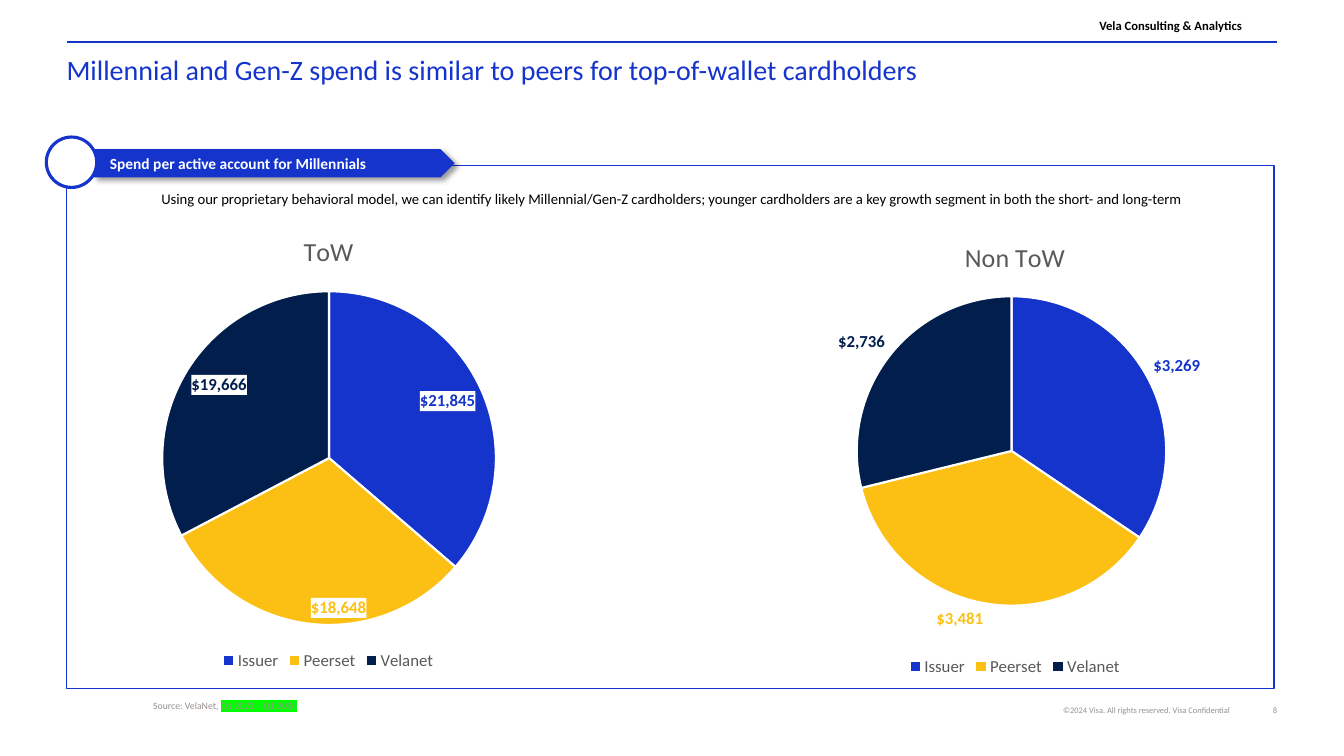
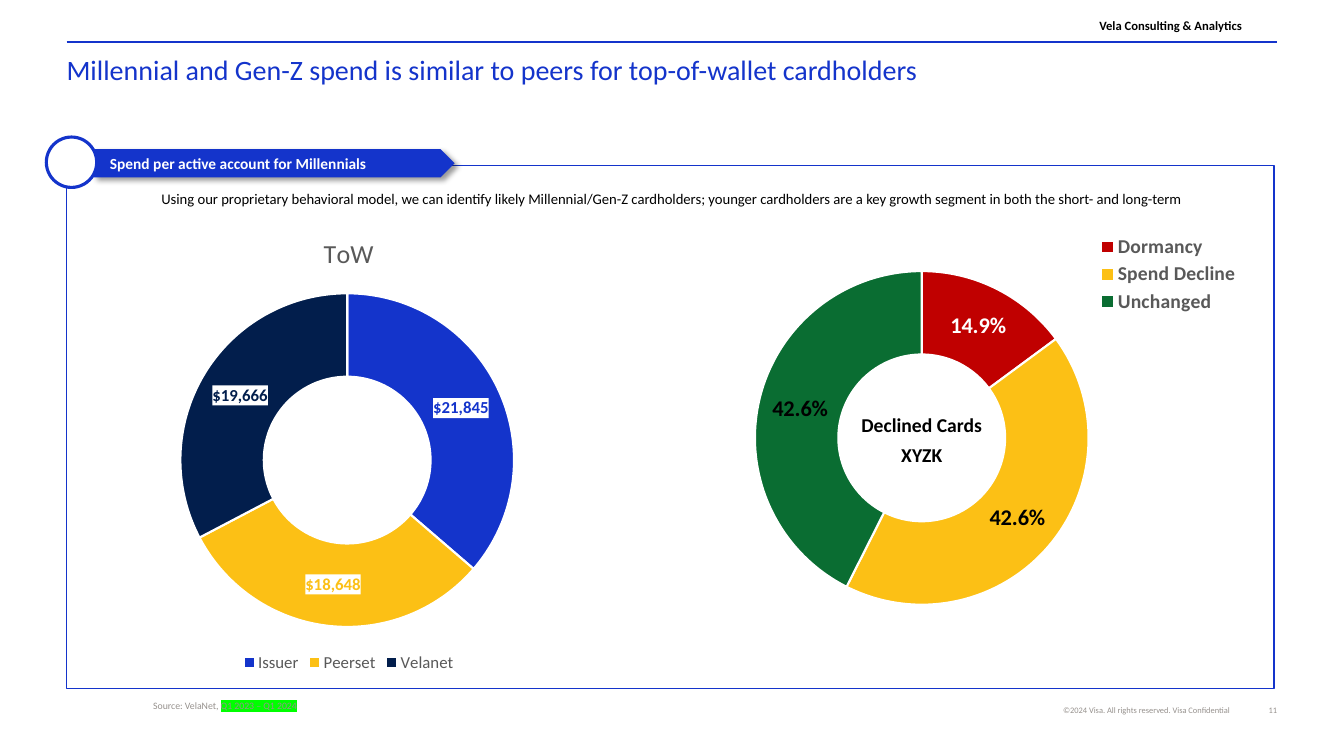
from lxml import etree
from pptx import Presentation
from pptx.chart.data import CategoryChartData
from pptx.dml.color import RGBColor
from pptx.enum import chart as charts, shapes, text
from pptx.oxml import parse_xml
from pptx.oxml.ns import nsdecls, qn
from pptx.util import Pt

PX = 9144  # 100 px to the inch
FONT = "Calibri"
BLUE, YELLOW, NAVY = "1434CB", "FCC015", "021E4C"
RED, GREEN = "C00000", "0A6D32"
WHITE, BLACK, GREY, CHART_GREY = "FFFFFF", "000000", "96918D", "595959"
LEFT, CENTER, RIGHT = text.PP_ALIGN.LEFT, text.PP_ALIGN.CENTER, text.PP_ALIGN.RIGHT
TOP, BOTTOM = text.MSO_ANCHOR.TOP, text.MSO_ANCHOR.BOTTOM
PIE, DOUGHNUT = charts.XL_CHART_TYPE.PIE, charts.XL_CHART_TYPE.DOUGHNUT
INSIDE, OUTSIDE = charts.XL_LABEL_POSITION.INSIDE_END, charts.XL_LABEL_POSITION.OUTSIDE_END


def style_font(font, size, color, bold=False):
    font.name, font.size, font.bold = FONT, Pt(size), bold
    font.color.rgb = RGBColor.from_string(color)


def add_text(slide, box, content, size, color, bold=False, align=LEFT,
             anchor=TOP, margins=(0, 0, 0, 0)):
    frame = slide.shapes.add_textbox(*[value * PX for value in box]).text_frame
    frame.word_wrap = True
    frame.vertical_anchor = anchor
    (frame.margin_left, frame.margin_top,
     frame.margin_right, frame.margin_bottom) = [value * PX for value in margins]
    frame.text = content
    paragraph = frame.paragraphs[0]
    paragraph.alignment = align
    style_font(paragraph.runs[0].font, size, color, bold)
    return paragraph


# Chart contents; boxes and plot areas are in slide px
peer_chart = dict(
    categories=["Issuer", "Peerset", "Velanet"], colors=[BLUE, YELLOW, NAVY],
    label_colors=[BLUE, YELLOW, NAVY], label_size=12, number_format='"$"#,##0',
    label_fill=WHITE, position=None, percent=False, legend_box=None)
top_of_wallet = dict(peer_chart, title="ToW", name="ToW", values=[21845, 18648, 19666])
pages = [
    dict(number="8", center_lines=[], charts=[
        dict(top_of_wallet, kind=PIE, box=(66, 212, 520, 457),
             plot=(161, 289, 331), position=INSIDE),
        dict(peer_chart, kind=PIE, box=(747, 218, 520, 457), plot=(850, 294, 307),
             title="Non ToW", name="Non ToW", values=[3269, 3481, 2736],
             position=OUTSIDE, label_fill=None)]),
    dict(number="11", center_lines=["Declined Cards", "XYZK"], charts=[
        dict(top_of_wallet, kind=DOUGHNUT, box=(86, 214, 520, 457), plot=(179, 291, 331)),
        dict(kind=DOUGHNUT, box=(728, 206, 520, 457), plot=(749, 269, 331),
             title=None, name="Series 1",
             categories=["Dormancy", "Spend Decline", "Unchanged"],
             values=[14.9, 42.6, 42.6], colors=[RED, YELLOW, GREEN],
             label_colors=[WHITE, BLACK, BLACK], label_size=16, number_format="0.0%",
             label_fill=None, position=None, percent=True,
             legend_box=(1087, 230, 145, 84))]),
]

presentation = Presentation()
presentation.slide_width, presentation.slide_height = 12192000, 6858000

for page in pages:
    slide = presentation.slides.add_slide(presentation.slide_layouts[6])

    # Header rule, header and footers
    rule = slide.shapes.add_connector(
        shapes.MSO_CONNECTOR.STRAIGHT, 66 * PX, 42 * PX, 1267 * PX, 42 * PX)
    rule.line.color.rgb = RGBColor.from_string(BLUE)
    rule.line.width = Pt(1.5)
    etree.SubElement(rule._element.spPr, qn("a:effectLst"))
    add_text(slide, (997, 700, 223, 10), "©2024 Visa. All rights reserved. Visa Confidential",
             6, GREY, align=RIGHT, anchor=BOTTOM)
    add_text(slide, (1224, 700, 43, 10), page["number"], 6, GREY, align=RIGHT)
    header = add_text(slide, (1038, 19, 194, 14), "Vela Consulting & Analytics",
                      9, BLACK, True, RIGHT, BOTTOM)
    header.line_spacing = 0.9
    add_text(slide, (66, 52, 1198, 58),
             "Millennial and Gen-Z spend is similar to peers for top-of-wallet cardholders",
             20, BLUE, margins=(0, 0, 0, 10))

    # Frame, banner and badge
    for preset, box, fill, line_width in [
            (shapes.MSO_SHAPE.RECTANGLE, (66, 164, 1198, 519), WHITE, 1),
            (shapes.MSO_SHAPE.PENTAGON, (93, 148, 358, 28), BLUE, None),
            (shapes.MSO_SHAPE.OVAL, (46, 136, 50, 50), WHITE, 2.25)]:
        shape = slide.shapes.add_shape(preset, *[value * PX for value in box])
        shape.shadow.inherit = False
        shape.fill.solid()
        shape.fill.fore_color.rgb = RGBColor.from_string(fill)
        if line_width:
            shape.line.color.rgb = RGBColor.from_string(BLUE)
            shape.line.width = Pt(line_width)
        else:
            shape.line.fill.background()
            shape._element.spPr.find(qn("a:effectLst")).append(parse_xml(
                f'<a:outerShdw {nsdecls("a")} blurRad="50800" dist="38100" dir="2700000" '
                f'algn="tl" rotWithShape="0"><a:srgbClr val="{BLACK}">'
                '<a:alpha val="40000"/></a:srgbClr></a:outerShdw>'))
    add_text(slide, (109, 153, 373, 19), "Spend per active account for Millennials",
             11, WHITE, True)

    # Source with highlighted period, and introduction
    source = add_text(slide, (152, 694, 696, 29), "Source: VelaNet, ", 7, GREY)
    period = source.add_run()
    period.text = "Q1 2023 – Q1 2024"
    style_font(period.font, 7, GREY)
    period.font._element.find(qn("a:solidFill")).addnext(parse_xml(
        f'<a:highlight {nsdecls("a")}><a:srgbClr val="00FF00"/></a:highlight>'))
    add_text(slide, (69, 183, 1195, 45),
             "Using our proprietary behavioral model, we can identify likely "
             "Millennial/Gen-Z cardholders; younger cardholders are a key growth "
             "segment in both the short- and long-term",
             10.5, BLACK, align=CENTER, margins=(10, 5, 10, 5))

    # Charts
    for item in page["charts"]:
        data = CategoryChartData()
        data.categories = item["categories"]
        data.add_series(item["name"], item["values"])
        chart = slide.shapes.add_chart(
            item["kind"], *[value * PX for value in item["box"]], data).chart
        style_font(chart.font, 10, BLACK)
        chart.has_title = bool(item["title"])
        if item["title"]:
            title_frame = chart.chart_title.text_frame
            title_frame.text = item["title"]
            style_font(title_frame.paragraphs[0].runs[0].font, 18.6, CHART_GREY)
        chart.has_legend = True
        legend = chart.legend
        legend.include_in_layout = False
        if item["legend_box"]:
            legend.position = charts.XL_LEGEND_POSITION.RIGHT
            style_font(legend.font, 14, CHART_GREY, True)
        else:
            legend.position = charts.XL_LEGEND_POSITION.BOTTOM
            style_font(legend.font, 12, CHART_GREY)

        # Slices and their labels
        plot = chart.plots[0]
        plot.vary_by_categories = True
        series = plot.series[0]
        labels = series.data_labels
        labels.number_format = item["number_format"]
        labels.number_format_is_linked = False
        labels.show_value = not item["percent"]
        labels.show_percentage = item["percent"]
        style_font(labels.font, item["label_size"], item["label_colors"][0], True)
        for index, color in enumerate(item["colors"]):
            point = series.points[index]
            point.format.fill.solid()
            point.format.fill.fore_color.rgb = RGBColor.from_string(color)
            point.format.line.color.rgb = RGBColor.from_string(WHITE)
            point.format.line.width = Pt(1.5)
            label = point.data_label
            style_font(label.font, item["label_size"], item["label_colors"][index], True)
            if item["position"] is not None:
                label.position = item["position"]
        for element in chart.element.xpath(".//c:ser/c:dLbls/c:dLbl"):
            element.find(qn("c:showVal")).set("val", str(int(not item["percent"])))
            element.find(qn("c:showPercent")).set("val", str(int(item["percent"])))
            number_format = etree.Element(qn("c:numFmt"))
            number_format.set("formatCode", item["number_format"])
            number_format.set("sourceLinked", "0")
            element.find(qn("c:idx")).addnext(number_format)

        # Label background, for the series and for each slice
        if item["label_fill"]:
            for element in chart.element.xpath(".//c:ser/c:dLbls | .//c:ser/c:dLbls/c:dLbl"):
                for old_properties in element.findall(qn("c:spPr")):
                    element.remove(old_properties)
                element.find(qn("c:numFmt")).addnext(parse_xml(
                    f'<c:spPr {nsdecls("c", "a")}><a:solidFill>'
                    f'<a:srgbClr val="{item["label_fill"]}"/></a:solidFill>'
                    '<a:ln><a:noFill/></a:ln></c:spPr>'))

        # Manual places of the plot and the legend, as shares of the chart box
        left, top, width, height = item["box"]
        plot_left, plot_top, diameter = item["plot"]
        plot_area = chart.element.xpath(".//c:plotArea")[0]
        places = [(plot_area, (plot_left, plot_top, diameter, diameter), True)]
        if item["legend_box"]:
            places.append((chart.element.xpath(".//c:legend")[0], item["legend_box"], False))
        for parent, (x, y, w, h), inner in places:
            for old_layout in parent.findall(qn("c:layout")):
                parent.remove(old_layout)
            target = '<c:layoutTarget val="inner"/>' if inner else ""
            layout = parse_xml(
                f'<c:layout {nsdecls("c")}><c:manualLayout>{target}'
                '<c:xMode val="edge"/><c:yMode val="edge"/>'
                f'<c:x val="{(x - left) / width}"/><c:y val="{(y - top) / height}"/>'
                f'<c:w val="{w / width}"/><c:h val="{h / height}"/>'
                '</c:manualLayout></c:layout>')
            parent.insert(0 if inner else 1, layout)

    # Text in the ring
    for row, line in enumerate(page["center_lines"]):
        add_text(slide, (841, 405 + 29 * row, 147, 34), line, 14, BLACK, True,
                 CENTER, margins=(10, 5, 10, 5))

presentation.save("out.pptx")
